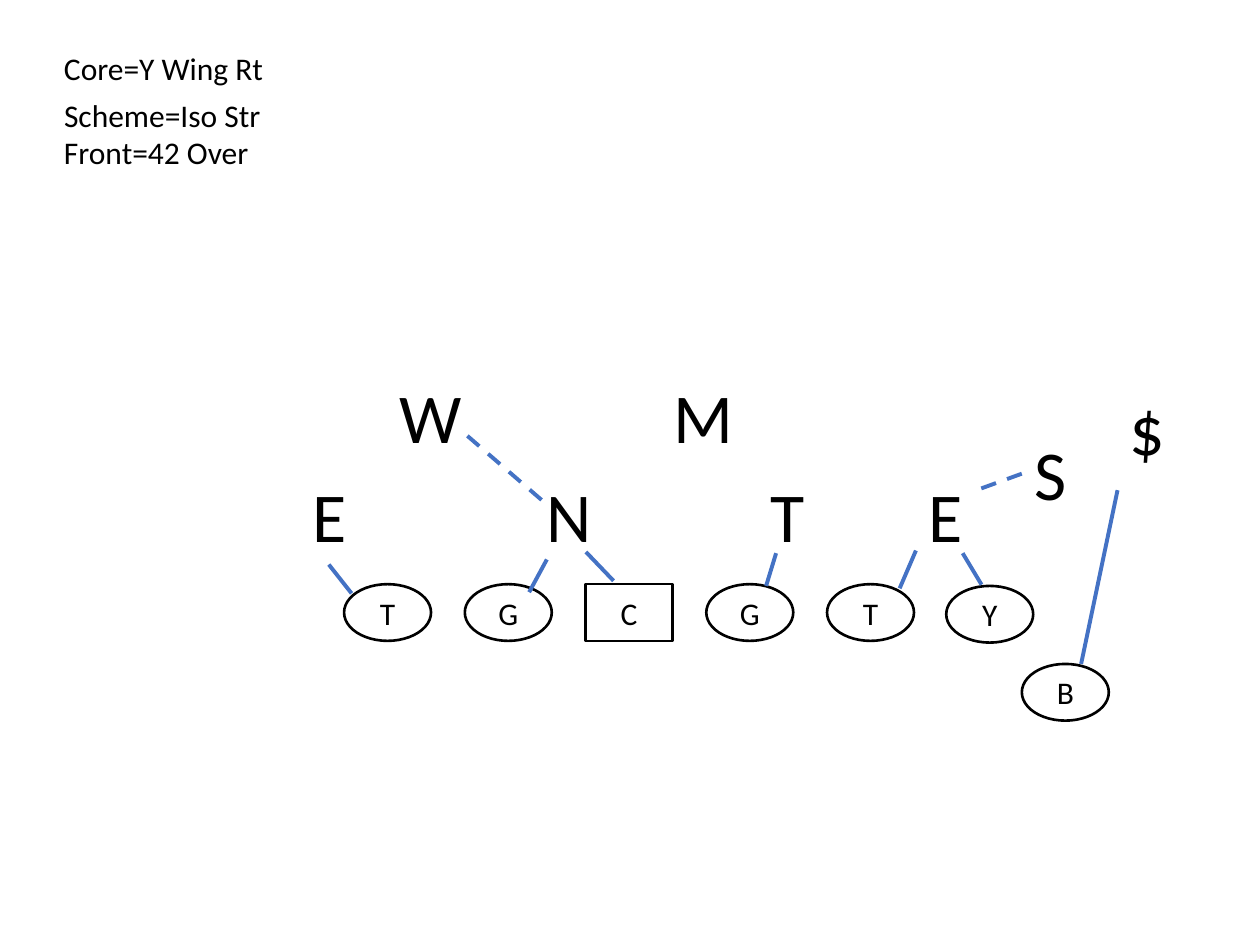
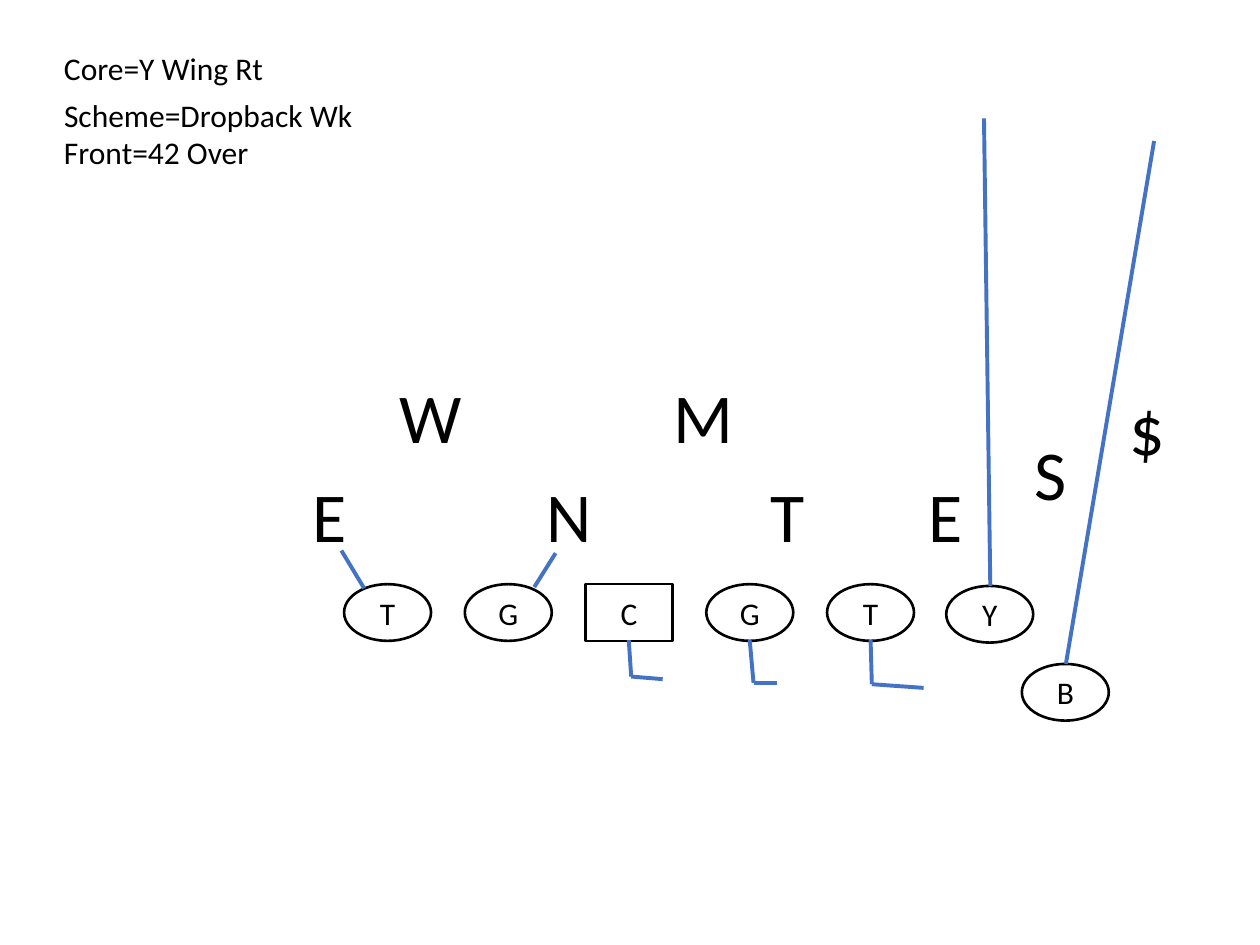
"""Build two football play diagrams that share one formation and front."""
from itertools import pairwise

from lxml import etree
from pptx import Presentation, util as u
from pptx.dml.color import RGBColor
from pptx.enum import dml, shapes, text
from pptx.oxml.ns import qn

COLORS = {"ink": "000000", "paper": "FFFFFF", "route": "4472C4"}
FONT = "Calibri"
CAPTION_BOX = (29.5, 24.5)
FIELD_BOX = (170, 60)
PLAYER_SIZE = (49.7, 32.4)
LINE_PITCH = 69
OVAL = shapes.MSO_SHAPE.OVAL
SQUARE = shapes.MSO_SHAPE.RECTANGLE

LINEMEN = [("T", OVAL), ("G", OVAL), ("C", SQUARE), ("G", OVAL), ("T", OVAL)]
PLAYERS = [(label, kind, 26.6 + LINE_PITCH * index, 273.8)
           for index, (label, kind) in enumerate(LINEMEN)]
PLAYERS += [("Y", OVAL, 370.7, 274.8), ("B", OVAL, 413.9, 319.4)]

DEFENDERS = [
    ("E", 1.4, 206.4, 34.6), ("N", 135.3, 206.4, 40.3),
    ("T", 263.4, 206.4, 34.6), ("E", 353.4, 206.4, 34.6),
    ("W", 51, 150.2, 50.4), ("M", 208, 150.2, 50.4),
    ("S", 413.9, 182.6, 34.6), ("$", 468.6, 156.7, 35.3),
]

PLAYS = [
    {
        "scheme": ("Scheme=Iso Str", 128.2),
        "solid": [
            [(17.9, 262.6), (30.9, 279.1)],
            [(142.5, 259.7), (132.4, 278.4)],
            [(164.8, 255.4), (180.6, 271.9)],
            [(273.5, 256.1), (267.8, 274.8)],
            [(353.4, 254.6), (344.1, 276.2)],
            [(380.1, 256.1), (390.9, 274.1)],
            [(447.8, 319.4), (468.6, 220.1)],
        ],
        "dashed": [
            [(97.1, 189.1), (139.6, 225.8)],
            [(413.9, 210.7), (388, 220.1)],
        ],
    },
    {
        "scheme": ("Scheme=Dropback Wk", 181.4),
        "solid": [
            [(189.3, 305.8), (190.7, 326.6), (208.7, 328.1)],
            [(258.4, 305.8), (260.6, 330.2), (274.2, 330.2)],
            [(327.5, 305.8), (328.2, 331), (357.8, 333.1)],
            [(395.9, 274.8), (392.3, 7.7)],
            [(439.1, 319.4), (489.5, 20.6)],
            [(25.1, 254.6), (38.1, 276.2)],
            [(147.5, 256.1), (135.3, 275.5)],
        ],
        "dashed": [],
    },
]


def color(name):
    """Return a named colour."""
    return RGBColor.from_string(COLORS[name])


def apply(target, values):
    """Set attributes from a dict of format values."""
    for name, value in values.items():
        setattr(target, name, value)


def write(shape, label, size, alignment):
    """Put one formatted paragraph in a shape."""
    paragraph = shape.text_frame.paragraphs[0]
    paragraph.alignment = alignment
    run = paragraph.add_run()
    run.text = label
    apply(run.font, {"name": FONT, "size": u.Pt(size)})
    run.font.color.rgb = color("ink")


def add_label(slide, label, left, top, width, height, size):
    """Add a text box that does not wrap."""
    shape = slide.shapes.add_textbox(*map(u.Pt, (left, top, width, height)))
    apply(shape.text_frame, {"word_wrap": False,
                             "auto_size": text.MSO_AUTO_SIZE.SHAPE_TO_FIT_TEXT})
    write(shape, label, size, text.PP_ALIGN.LEFT)


def add_player(slide, label, kind, left, top):
    """Add an offensive player as an outlined shape."""
    shape = slide.shapes.add_shape(kind, *map(u.Pt, (left, top, *PLAYER_SIZE)))
    shape.shadow.inherit = False
    shape.fill.solid()
    shape.fill.fore_color.rgb = color("paper")
    shape.line.color.rgb = color("ink")
    shape.line.width = u.Pt(1.5)
    shape.text_frame.vertical_anchor = text.MSO_ANCHOR.MIDDLE
    write(shape, label, 18, text.PP_ALIGN.CENTER)


def add_route(slide, box, points, dash):
    """Join the points of a route with straight connectors."""
    left, top = box
    placed = [(u.Pt(left + x), u.Pt(top + y)) for x, y in points]
    for start, end in pairwise(placed):
        connector = slide.shapes.add_connector(
            shapes.MSO_CONNECTOR.STRAIGHT, *start, *end)
        connector.line.color.rgb = color("route")
        apply(connector.line, {"width": u.Pt(2.25), "dash_style": dash})
        etree.SubElement(connector._element.spPr, qn("a:effectLst"))


def add_captions(slide, box, scheme):
    """Name the core, scheme and front of the play."""
    left, top = box
    captions = [("Core=Y Wing Rt", 129.6, 0), (*scheme, 26.6),
                ("Front=42 Over", 125.3, 48.2)]
    for label, width, offset in captions:
        add_label(slide, label, left, top + offset, width, 29, 18)


def add_formation(slide, box):
    """Place the offense and the defensive front."""
    left, top = box
    for label, kind, x, y in PLAYERS:
        add_player(slide, label, kind, left + x, top + y)
    for label, x, y, width in DEFENDERS:
        add_label(slide, label, left + x, top + y, width, 55.4, 40)


def add_play(presentation, play):
    """Add one play diagram slide."""
    slide = presentation.slides.add_slide(presentation.slide_layouts[6])
    add_captions(slide, CAPTION_BOX, play["scheme"])
    add_formation(slide, FIELD_BOX)
    for style, dash in (("solid", dml.MSO_LINE.SOLID),
                        ("dashed", dml.MSO_LINE.DASH)):
        for points in play[style]:
            add_route(slide, FIELD_BOX, points, dash)


presentation = Presentation()
apply(presentation, {"slide_width": u.Pt(720), "slide_height": u.Pt(540)})
for play in PLAYS:
    add_play(presentation, play)
presentation.save("out.pptx")
